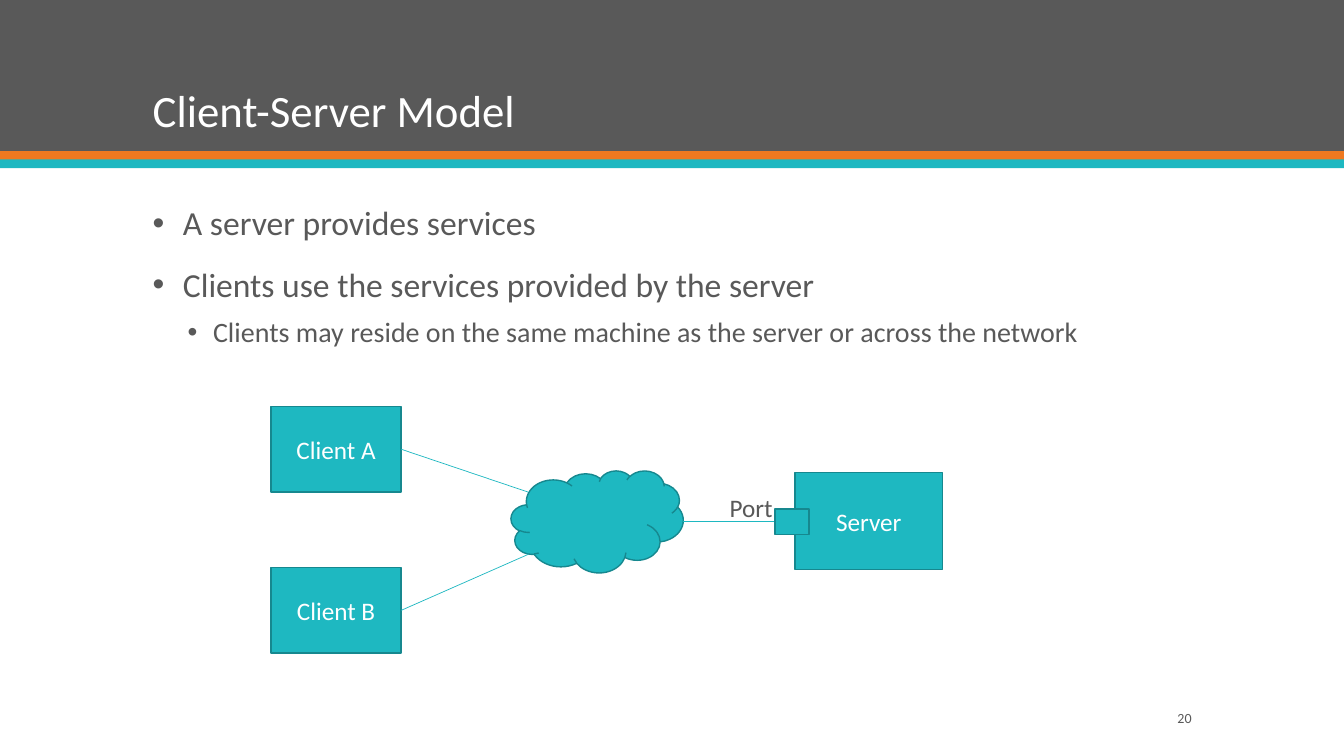
import pptx
import pptx.util
import pptx.dml.color
import pptx.enum.shapes
import pptx.enum.text
import pptx.oxml.ns
from lxml import etree

Cm, Pt = pptx.util.Cm, pptx.util.Pt
SHAPE = pptx.enum.shapes.MSO_SHAPE
ALIGN = pptx.enum.text.PP_ALIGN
ANCHOR = pptx.enum.text.MSO_ANCHOR
qn = pptx.oxml.ns.qn

WIDTH, HEIGHT = 33.87, 19.05
FONT = "Calibri"
COLORS = {"gray": "595959", "orange": "EF7920", "teal": "1EB8C1",
          "edge": "16888F", "white": "FFFFFF"}


class Deck:
    def __init__(self):
        self.prs = pptx.Presentation()
        self.prs.slide_width, self.prs.slide_height = Cm(WIDTH), Cm(HEIGHT)
        self.s = self.prs.slides.add_slide(self.prs.slide_layouts[6])

    def color(self, name):
        return pptx.dml.color.RGBColor.from_string(COLORS[name])

    def style_text(self, p, text, size, color, align=ALIGN.LEFT):
        p.text = text
        p.alignment = align
        for r in p.runs:
            r.font.name, r.font.size = FONT, Pt(size)
            r.font.color.rgb = self.color(color)

    def shape(self, kind, x, y, w, h, fill, edge=None, label=""):
        sp = self.s.shapes.add_shape(kind, Cm(x), Cm(y), Cm(w), Cm(h))
        sp.shadow.inherit = False
        sp.fill.solid()
        sp.fill.fore_color.rgb = self.color(fill)
        if edge:
            sp.line.color.rgb = self.color(edge)
            sp.line.width = Pt(1)
        else:
            sp.line.fill.background()
        if label:
            tf = sp.text_frame
            tf.vertical_anchor = ANCHOR.MIDDLE
            self.style_text(tf.paragraphs[0], label, 18, "white", ALIGN.CENTER)

    def frame(self, x, y, w, h, anchor=ANCHOR.TOP):
        tf = self.s.shapes.add_textbox(Cm(x), Cm(y), Cm(w), Cm(h)).text_frame
        tf.word_wrap = True
        tf.vertical_anchor = anchor
        return tf

    def text(self, x, y, w, h, text, size, color, anchor=ANCHOR.TOP, align=ALIGN.LEFT):
        p = self.frame(x, y, w, h, anchor).paragraphs[0]
        self.style_text(p, text, size, color, align)
        return p

    def bullets(self, x, y, w, h, items):
        # Level: text size, space before, left margin, hanging indent
        levels = [(24, 18, 0.76, 0.76), (20, 10, 1.52, 0.64)]
        tf = self.frame(x, y, w, h)
        for i, (level, text) in enumerate(items):
            size, before, margin, hang = levels[level]
            p = tf.add_paragraph() if i else tf.paragraphs[0]
            self.style_text(p, text, size, "gray")
            p.level, p.line_spacing, p.space_before = level, 0.9, Pt(before)
            pPr = p._p.get_or_add_pPr()
            pPr.set("marL", str(Cm(margin)))
            pPr.set("indent", str(-Cm(hang)))
            etree.SubElement(pPr, qn("a:buFont")).set("typeface", "Arial")
            etree.SubElement(pPr, qn("a:buChar")).set("char", "•")

    def line(self, x1, y1, x2, y2):
        c = self.s.shapes.add_connector(
            pptx.enum.shapes.MSO_CONNECTOR.STRAIGHT, Cm(x1), Cm(y1), Cm(x2), Cm(y2))
        c.line.color.rgb = self.color("teal")
        c.line.width = Pt(0.5)
        etree.SubElement(c._element.spPr, qn("a:effectLst"))


def main():
    deck = Deck()

    # Header bands and title
    for y, h, fill in [(0, 3.81, "gray"), (3.81, 0.22, "orange"), (4.02, 0.22, "teal")]:
        deck.shape(SHAPE.RECTANGLE, 0, y, WIDTH, h, fill)
    title = deck.text(3.6, 0.71, 26.67, 2.87, "Client-Server Model", 32, "white",
                      ANCHOR.BOTTOM)
    title.line_spacing = 0.9

    # Body text and slide number
    deck.bullets(3.6, 5.08, 26.67, 12.07, [
        (0, "A server provides services"),
        (0, "Clients use the services provided by the server"),
        (1, "Clients may reside on the same machine as the server or across the network"),
    ])
    deck.text(26.47, 17.7, 3.81, 0.76, "20", 10, "gray", ANCHOR.MIDDLE, ALIGN.RIGHT)

    # Server, clients and network
    for kind, x, y, w, h, label in [
        (SHAPE.RECTANGLE, 20.04, 11.91, 3.71, 2.44, "Server"),
        (SHAPE.RECTANGLE, 6.83, 10.24, 3.28, 2.16, "Client A"),
        (SHAPE.RECTANGLE, 6.83, 14.3, 3.28, 2.16, "Client B"),
        (SHAPE.CLOUD, 12.88, 11.86, 4.34, 2.57, ""),
    ]:
        deck.shape(kind, x, y, w, h, "teal", "edge", label)

    # Links
    for ends in [(10.11, 11.32, 13.31, 12.4), (10.11, 15.38, 13.31, 13.97),
                 (17.22, 13.13, 20.04, 13.13)]:
        deck.line(*ends)

    # Port
    deck.shape(SHAPE.RECTANGLE, 19.53, 12.83, 0.86, 0.64, "teal", "edge")
    deck.text(18.14, 12.27, 2.79, 1.02, "Port", 18, "gray")

    deck.prs.save("out.pptx")


if __name__ == "__main__":
    main()
